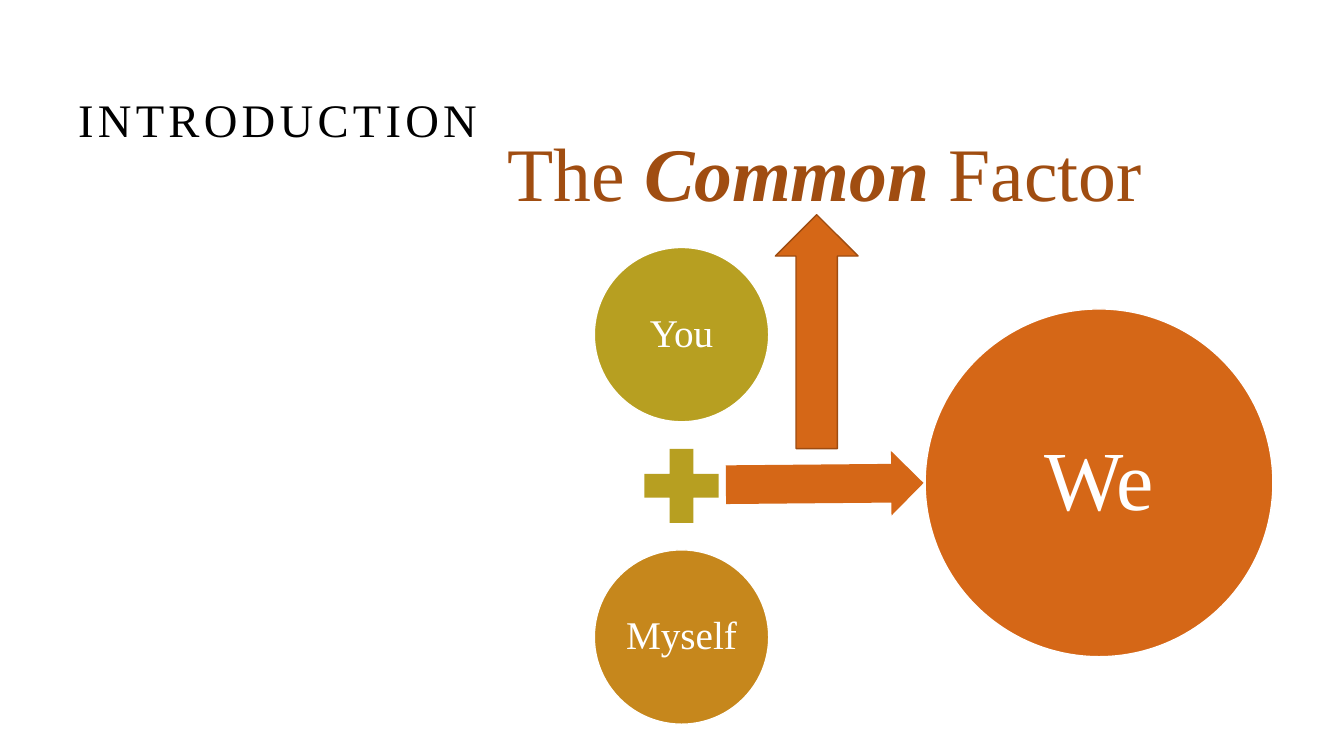
"""Build the introduction slide: you plus myself make we, the common factor."""
import pptx
import pptx.util
import pptx.dml.color
import pptx.enum.shapes
import pptx.enum.text

SHAPE = pptx.enum.shapes.MSO_SHAPE
ANCHOR = pptx.enum.text.MSO_ANCHOR
CENTER = pptx.enum.text.PP_ALIGN.CENTER
FONT = "Times New Roman"
OLIVE, GOLD, ORANGE, RUST = "B79F21", "C6871C", "D56717", "A04D11"


def rgb(value):
    return pptx.dml.color.RGBColor.from_string(value)


def add_figure(s, kind, cx, cy, w, h, fill, line=None):
    box = [pptx.util.Inches(v) for v in (cx - w / 2, cy - h / 2, w, h)]
    sp = s.shapes.add_shape(kind, *box)
    sp.shadow.inherit = False
    sp.fill.solid()
    sp.fill.fore_color.rgb = rgb(fill)
    if line:
        sp.line.color.rgb = rgb(line)
        sp.line.width = pptx.util.Pt(1)
    else:
        sp.line.fill.background()
    return sp


prs = pptx.Presentation()
prs.slide_width = pptx.util.Inches(13.33)
prs.slide_height = pptx.util.Inches(7.5)
s = prs.slides.add_slide(prs.slide_layouts[5])

title = s.shapes.title
title.left, title.top = pptx.util.Inches(0.34), pptx.util.Inches(0.64)
title.width, title.height = pptx.util.Inches(4.83), pptx.util.Inches(1.07)
tf = title.text_frame
tf.text = "INTRODUCTION"
tf.vertical_anchor = ANCHOR.MIDDLE
p = tf.paragraphs[0]
p.alignment = CENTER
r = p.runs[0]
r.font.name = FONT
r.font.size = pptx.util.Pt(33.3)
r.font.color.rgb = rgb("000000")
r.font._element.set("spc", "300")

sum_x, we_x, mid_y, step = 6.76, 10.9, 4.82, 1.5
circles = [
    ("You", sum_x, mid_y - step, 1.73, OLIVE, 28, 0.04),
    ("Myself", sum_x, mid_y + step, 1.73, GOLD, 28, 0.04),
    ("We", we_x, 4.79, 3.45, ORANGE, 60, 0.08),
]
for word, cx, cy, size, fill, points, inset in circles:
    sp = add_figure(s, SHAPE.OVAL, cx, cy, size, size, fill, "FFFFFF")
    tf = sp.text_frame
    tf.text = word
    tf.word_wrap = True
    tf.vertical_anchor = ANCHOR.MIDDLE
    tf.margin_left = tf.margin_right = pptx.util.Inches(inset)
    tf.margin_top = tf.margin_bottom = pptx.util.Inches(inset)
    p = tf.paragraphs[0]
    p.alignment = CENTER
    p.line_spacing = 0.9
    r = p.runs[0]
    r.font.name = FONT
    r.font.size = pptx.util.Pt(points)
    r.font.color.rgb = rgb("FFFFFF")

add_figure(s, SHAPE.MATH_PLUS, sum_x, mid_y, 1, 1, OLIVE)
arrow = add_figure(s, SHAPE.RIGHT_ARROW, 8.18, 4.8, 1.96, 0.64, ORANGE)
arrow.adjustments[0] = 0.6
arrow.rotation = 359.5
add_figure(s, SHAPE.UP_ARROW, 8.1, 3.29, 0.82, 2.32, ORANGE, "9E4C11")

box = [pptx.util.Inches(v) for v in (4.9, 1.2, 6.56, 1.01)]
tf = s.shapes.add_textbox(*box).text_frame
tf.word_wrap = False
tf.auto_size = pptx.enum.text.MSO_AUTO_SIZE.SHAPE_TO_FIT_TEXT
p = tf.paragraphs[0]
p.alignment = CENTER
for word, strong in (("The ", False), ("Common ", True), ("Factor", False)):
    r = p.add_run()
    r.text = word
    r.font.name = FONT
    r.font.size = pptx.util.Pt(54)
    r.font.bold = r.font.italic = strong
    r.font.color.rgb = rgb(RUST)

prs.save("out.pptx")
